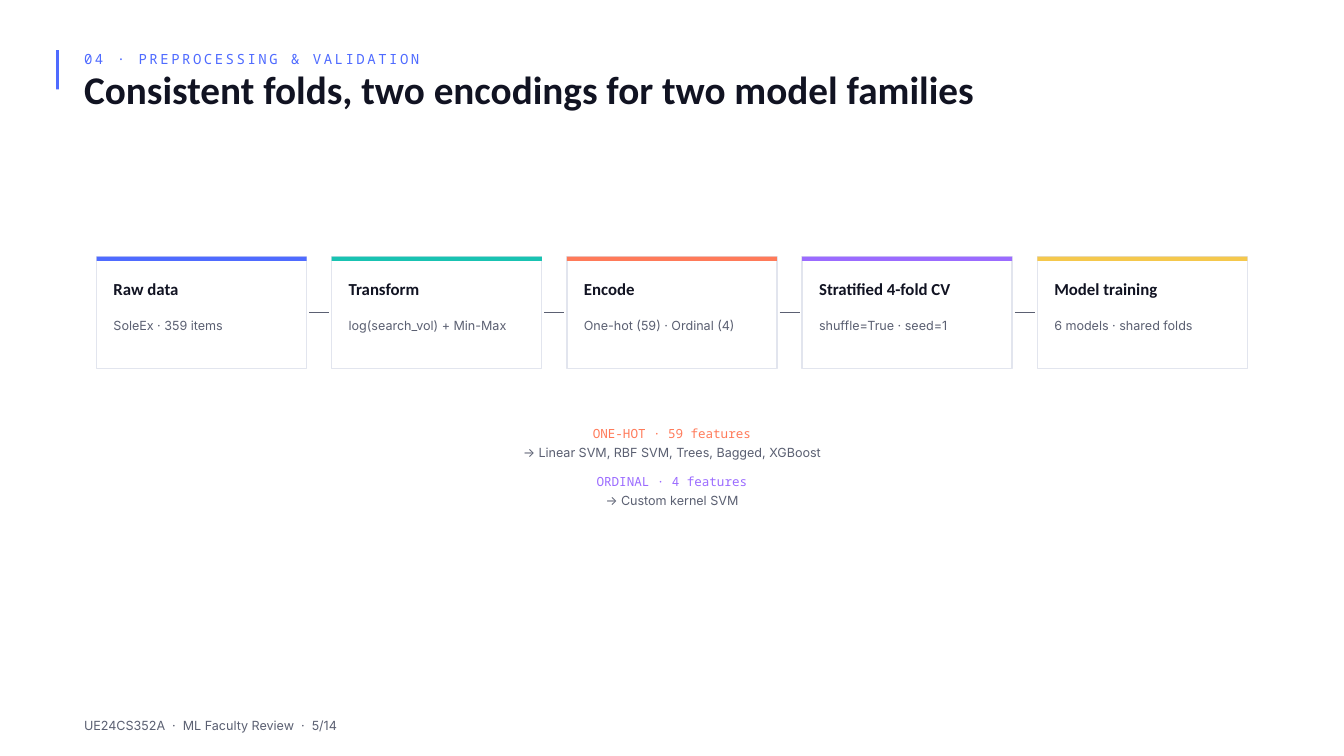
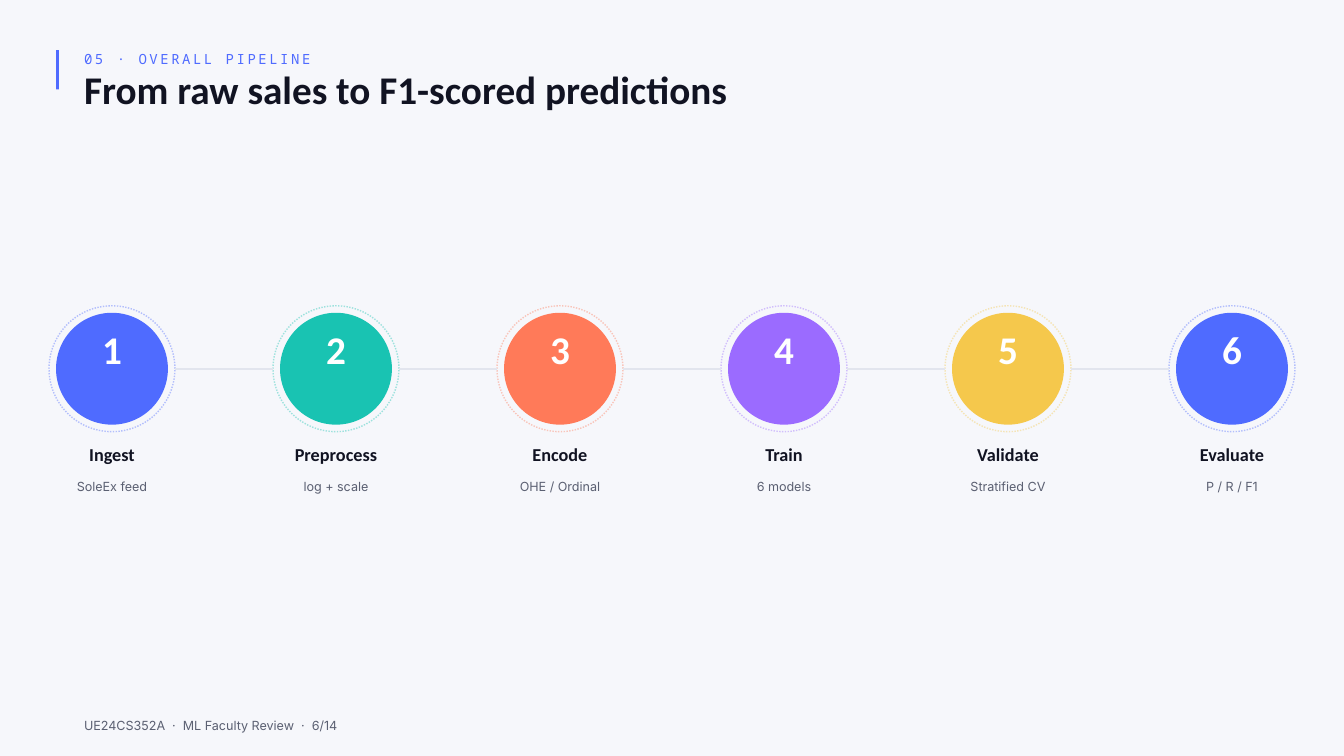
from lxml import etree
from pptx import Presentation
from pptx.dml.color import RGBColor
from pptx.enum.dml import MSO_LINE
from pptx.enum.shapes import MSO_CONNECTOR, MSO_SHAPE
from pptx.enum.text import MSO_ANCHOR, MSO_AUTO_SIZE, PP_ALIGN
from pptx.oxml.ns import qn
from pptx.util import Cm, Pt

RECTANGLE, OVAL = MSO_SHAPE.RECTANGLE, MSO_SHAPE.OVAL
STRAIGHT = MSO_CONNECTOR.STRAIGHT
DOTTED = MSO_LINE.ROUND_DOT
LEFT, CENTER = PP_ALIGN.LEFT, PP_ALIGN.CENTER
TOP = MSO_ANCHOR.TOP
NO_AUTOSIZE = MSO_AUTO_SIZE.NONE

WHITE = RGBColor(0xFF, 0xFF, 0xFF)
MIST = RGBColor(0xF6, 0xF7, 0xFB)
INK = RGBColor(0x11, 0x13, 0x22)
GREY = RGBColor(0x5B, 0x60, 0x72)
BORDER = RGBColor(0xE2, 0xE5, 0xEE)
BLUE = RGBColor(0x4F, 0x6B, 0xFF)
TEAL = RGBColor(0x19, 0xC3, 0xB2)
CORAL = RGBColor(0xFF, 0x7A, 0x59)
VIOLET = RGBColor(0x9B, 0x6B, 0xFF)
YELLOW = RGBColor(0xF5, 0xC8, 0x4C)
ACCENTS = [BLUE, TEAL, CORAL, VIOLET, YELLOW]

HEADING, BODY, MONO = "Calibri", "Inter", "Noto Sans Mono"
PAGE_WIDTH, PAGE_HEIGHT = 50.8, 28.58


def write(page, text, left, top, width, height, box=None, font=BODY, size=13.5,
          color=GREY, bold=False, align=LEFT, leading=18.9, tracking=None):
    """Put one line of text on the page, in a new box or in the given one."""
    if box is None:
        box = page.shapes.add_textbox(0, 0, 0, 0)
    box.left, box.top, box.width, box.height = Cm(left), Cm(top), Cm(width), Cm(height)
    frame = box.text_frame
    frame.margin_left = frame.margin_right = frame.margin_top = frame.margin_bottom = 0
    frame.word_wrap = True
    frame.auto_size = NO_AUTOSIZE
    frame.vertical_anchor = TOP
    para = frame.paragraphs[0]
    para.alignment = align
    para.line_spacing = Pt(leading)
    span = para.add_run()
    span.text = text
    span.font.name, span.font.size, span.font.bold = font, Pt(size), bold
    span.font.color.rgb = color
    if tracking:
        span.font._element.set("spc", str(int(tracking * 100)))


def draw(page, kind, left, top, width, height, fill=None, outline=None):
    """Add a preset shape with an optional fill and outline."""
    shape = page.shapes.add_shape(kind, Cm(left), Cm(top), Cm(width), Cm(height))
    shape.shadow.inherit = False
    if fill is None:
        shape.fill.background()
    else:
        shape.fill.solid()
        shape.fill.fore_color.rgb = fill
    if outline is None:
        shape.line.fill.background()
    else:
        shape.line.color.rgb = outline
        shape.line.width = Pt(1.5)
    return shape


deck = Presentation()
deck.slide_width, deck.slide_height = Cm(PAGE_WIDTH), Cm(PAGE_HEIGHT)

# Shared frame: background, accent bar, section label, title, footer
headers = [
    ("04 · PREPROCESSING & VALIDATION",
     "Consistent folds, two encodings for two model families", WHITE),
    ("05 · OVERALL PIPELINE", "From raw sales to F1-scored predictions", MIST),
]
pages = []
for number, (section, title, background) in enumerate(headers, start=5):
    page = deck.slides.add_slide(deck.slide_layouts[5])
    page.background.fill.solid()
    page.background.fill.fore_color.rgb = background
    draw(page, RECTANGLE, 2.12, 1.9, 0.11, 1.48, fill=BLUE)
    write(page, section, 3.18, 1.8, 44.45, 0.74, font=MONO, size=15, color=BLUE,
          leading=21, tracking=2.7)
    write(page, title, 3.18, 2.65, 44.45, 1.88, box=page.shapes.title, font=HEADING,
          size=42, color=INK, bold=True, leading=45.4)
    write(page, f"UE24CS352A  ·  ML Faculty Review  ·  {number}/14",
          3.18, 27.04, 44.45, 0.61)
    pages.append(page)
validation_page, pipeline_page = pages
links = []  # page, start x, end x, y, colour, weight

# Preprocessing: row of cards
cards = [
    ("Raw data", "SoleEx · 359 items"),
    ("Transform", "log(search_vol) + Min-Max"),
    ("Encode", "One-hot (59) · Ordinal (4)"),
    ("Stratified 4-fold CV", "shuffle=True · seed=1"),
    ("Model training", "6 models · shared folds"),
]
CARD_WIDTH, CARD_PITCH, CARD_TOP = 7.94, 8.89, 9.7
for index, (name, detail) in enumerate(cards):
    left = 3.65 + index * CARD_PITCH
    draw(validation_page, RECTANGLE, left, CARD_TOP, CARD_WIDTH, 4.23,
         fill=WHITE, outline=BORDER)
    draw(validation_page, RECTANGLE, left, CARD_TOP, CARD_WIDTH, 0.16,
         fill=ACCENTS[index])
    write(validation_page, name, left + 0.64, 10.57, 6.67, 0.84, font=HEADING,
          size=18, color=INK, bold=True, leading=20.7)
    write(validation_page, detail, left + 0.64, 11.94, 6.67, 0.61)
    if index < len(cards) - 1:
        links.append((validation_page, left + CARD_WIDTH + 0.1,
                      left + CARD_PITCH - 0.1, 11.81, GREY, 1.5))

# Preprocessing: which models use which encoding
encodings = [
    ("ONE-HOT · 59 features", "→ Linear SVM, RBF SVM, Trees, Bagged, XGBoost", CORAL),
    ("ORDINAL · 4 features", "→ Custom kernel SVM", VIOLET),
]
for index, (encoding, models, color) in enumerate(encodings):
    top = 16 + index * 1.83
    write(validation_page, encoding, 21.43, top, 7.94, 0.61, font=MONO, color=color,
          align=CENTER)
    write(validation_page, models, 16.14, top + 0.71, 18.52, 0.61, align=CENTER)

# Pipeline: numbered circles with dotted rings
steps = [
    ("Ingest", "SoleEx feed"),
    ("Preprocess", "log + scale"),
    ("Encode", "OHE / Ordinal"),
    ("Train", "6 models"),
    ("Validate", "Stratified CV"),
    ("Evaluate", "P / R / F1"),
]
STEP_PITCH = PAGE_WIDTH / len(steps)
DISC, RING, MIDDLE = 4.23, 4.76, 13.94
for index, (name, detail) in enumerate(steps):
    left = index * STEP_PITCH
    center = left + STEP_PITCH / 2
    color = ACCENTS[index % len(ACCENTS)]
    draw(pipeline_page, OVAL, center - DISC / 2, MIDDLE - DISC / 2, DISC, DISC, fill=color)
    ring = draw(pipeline_page, OVAL, center - RING / 2, MIDDLE - RING / 2, RING, RING,
                outline=color)
    ring.line.dash_style = DOTTED
    ring_color = ring._element.spPr.find(qn("a:ln")).find(".//" + qn("a:srgbClr"))
    etree.SubElement(ring_color, qn("a:alpha"), val="40000")
    write(pipeline_page, str(index + 1), center - DISC / 2, 12.01, DISC, 2.21,
          font=HEADING, size=42, color=WHITE, bold=True, align=CENTER, leading=58.8)
    write(pipeline_page, name, left, 16.79, STEP_PITCH, 0.91, font=HEADING, size=19.5,
          color=INK, bold=True, align=CENTER, leading=22.4)
    write(pipeline_page, detail, left, 18.01, STEP_PITCH, 0.61, align=CENTER)
    if index < len(steps) - 1:
        links.append((pipeline_page, center + RING / 2,
                      center + STEP_PITCH - RING / 2, MIDDLE, BORDER, 2.25))

# Connectors between neighbouring cards and circles
for page, start, end, y, color, weight in links:
    link = page.shapes.add_connector(STRAIGHT, Cm(start), Cm(y), Cm(end), Cm(y))
    link.line.color.rgb = color
    link.line.width = Pt(weight)
    etree.SubElement(link._element.spPr, qn("a:effectLst"))

deck.save("out.pptx")
